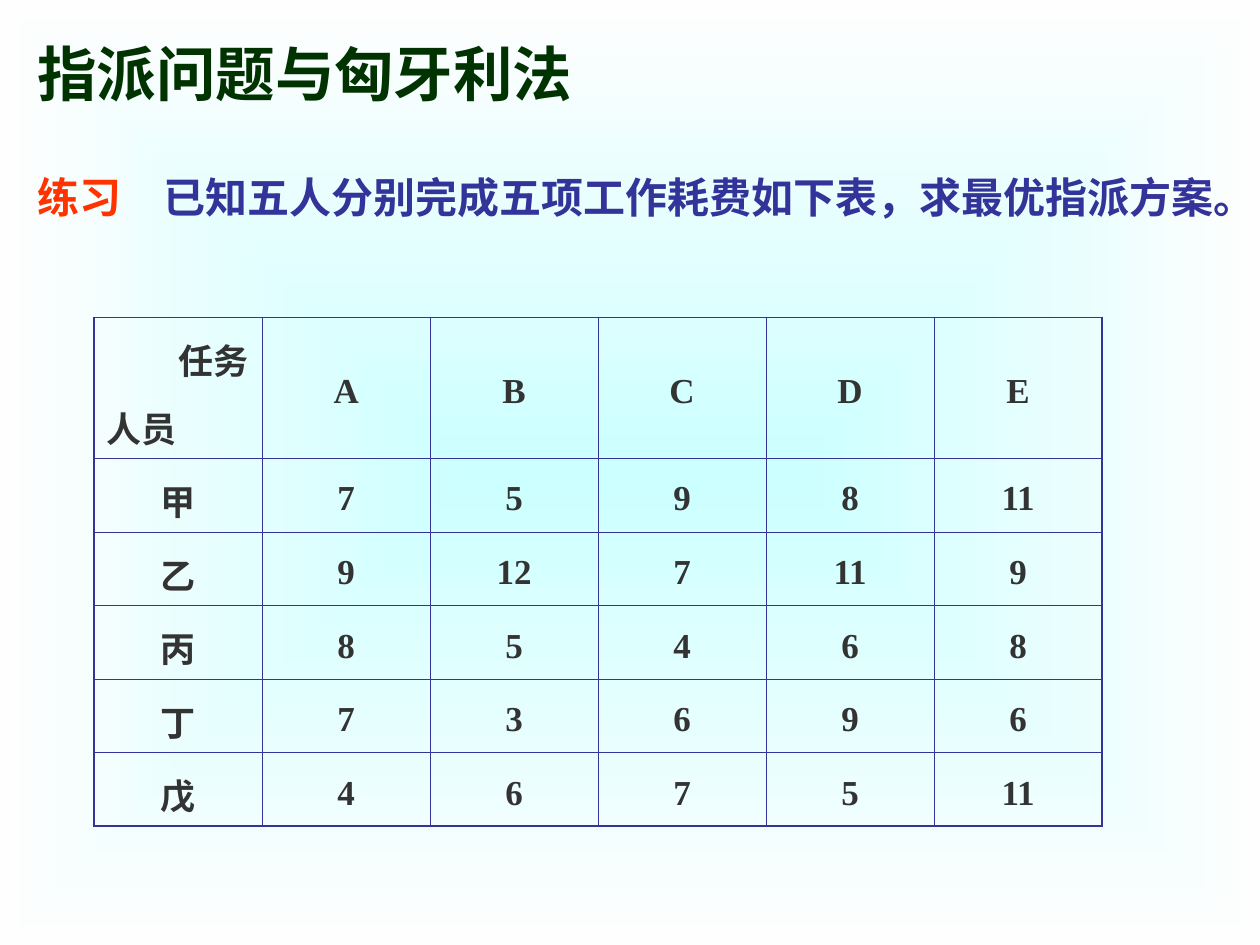
from dataclasses import dataclass

from lxml.etree import SubElement
from pptx import Presentation
from pptx.dml.color import RGBColor
from pptx.enum.text import MSO_ANCHOR, MSO_AUTO_SIZE, PP_ALIGN
from pptx.oxml.ns import qn
from pptx.util import Cm, Pt


@dataclass(frozen=True)
class Theme:
    """Hold the colours, font and type sizes."""
    font: str = "Times New Roman"
    title: str = "003300"
    label: str = "FF3300"
    body: str = "333399"
    cell: str = "333333"
    rule: str = "333399"
    inner: str = "CCFFFF"
    outer: str = "FEFEFE"
    head_size: float = 34
    body_size: float = 24
    cell_size: float = 20
    thin: float = 0.45
    thick: float = 1.08


def write(par, text, *, font, size, color, align=PP_ALIGN.LEFT,
          space=None, before=0, indent=0):
    """Add a bold run to a paragraph and format both."""
    par.alignment = align
    par.line_spacing = space
    par.space_before = Pt(before)
    props = par._p.get_or_add_pPr()
    props.set("marL", str(Cm(indent)))
    props.set("indent", "0")
    run = par.add_run()
    run.text = text
    run.font.name = font
    run.font.size = Pt(size)
    run.font.bold = True
    run.font.color.rgb = RGBColor.from_string(color)


class Deck:
    """Build slides in one style."""

    def __init__(self, theme):
        """Open a deck with one slide."""
        self.theme = theme
        self.file = Presentation()
        self.file.slide_width, self.file.slide_height = Cm(25.4), Cm(19.05)
        self.slide = self.file.slides.add_slide(self.file.slide_layouts[1])

    def backdrop(self):
        """Fill the slide with a gradient that spreads from its centre."""
        fill = self.slide.background.fill
        fill.gradient()
        for stop, color in zip(fill.gradient_stops, (self.theme.inner, self.theme.outer)):
            stop.color.rgb = RGBColor.from_string(color)
        line = next(self.slide.element.iter(qn("a:lin")))
        grad = line.getparent()
        grad.remove(line)
        spread = SubElement(grad, qn("a:path"), path="rect")
        SubElement(spread, qn("a:fillToRect"), {side: "50000" for side in "ltrb"})

    def place(self, shape, box, anchor):
        """Move a placeholder and return its first paragraph."""
        shape.left, shape.top, shape.width, shape.height = map(Cm, box)
        frame = shape.text_frame
        frame.word_wrap = True
        frame.auto_size = MSO_AUTO_SIZE.NONE
        frame.vertical_anchor = anchor
        return frame.paragraphs[0]

    def title(self, text, box):
        """Fill the title."""
        par = self.place(self.slide.shapes.title, box, MSO_ANCHOR.BOTTOM)
        write(par, text, font=self.theme.font, size=self.theme.head_size,
              color=self.theme.title)

    def body(self, label, text, box, stop):
        """Fill the body with a label and a text set off by a tab."""
        par = self.place(self.slide.placeholders[1], box, MSO_ANCHOR.TOP)
        for part, color in ((label + "\t", self.theme.label), (text, self.theme.body)):
            write(par, part, font=self.theme.font, size=self.theme.body_size,
                  color=color, space=1.2, before=4.5)
        props = par._p.get_or_add_pPr()
        SubElement(props, qn("a:buNone"))
        tabs = SubElement(props, qn("a:tabLst"))
        SubElement(tabs, qn("a:tab"), pos=str(Cm(stop)), algn="l")

    def border(self, cell, edges):
        """Draw the four sides of a cell, thick where they are outer edges."""
        props = cell._tc.get_or_add_tcPr()
        for side, edge in edges.items():
            width = self.theme.thick if edge else self.theme.thin
            line = SubElement(props, qn(f"a:ln{side}"), w=str(Pt(width)))
            fill = SubElement(line, qn("a:solidFill"))
            SubElement(fill, qn("a:srgbClr"), val=self.theme.rule)

    def cell(self, cell, parts):
        """Fill a cell with one paragraph for each text and its format."""
        cell.vertical_anchor = MSO_ANCHOR.MIDDLE
        frame = cell.text_frame
        for i, (text, form) in enumerate(parts):
            par = frame.add_paragraph() if i else frame.paragraphs[0]
            look = {"align": PP_ALIGN.CENTER, **form}
            write(par, text, font=self.theme.font, size=self.theme.cell_size,
                  color=self.theme.cell, space=1.2, before=3.7, **look)

    def table(self, corner, rows, box, top):
        """Add a ruled table whose first cell holds the two axis names."""
        high, wide = len(rows), len(rows[0])
        table = self.slide.shapes.add_table(high, wide, *map(Cm, box)).table
        table.first_row = table.horz_banding = False
        for r, row in enumerate(rows):
            table.rows[r].height = Cm((box[3] - top) / (high - 1) if r else top)
            for c, value in enumerate(row):
                cell = table.cell(r, c)
                self.border(cell, {"L": c == 0, "R": c == wide - 1,
                                   "T": r == 0, "B": r == high - 1})
                cell.fill.background()
                self.cell(cell, [(str(value), {})] if r or c else corner)

    def save(self):
        """Save the deck."""
        self.file.save("out.pptx")


def main():
    """Build the slide on the task problem."""
    deck = Deck(Theme())
    deck.backdrop()
    deck.title("指派问题与匈牙利法", (0.5, 0.33, 20.4, 1.98))
    deck.body("练习", "已知五人分别完成五项工作耗费如下表，求最优指派方案。",
              (0.5, 3.12, 24.9, 2.8), 2.28)
    corner = [("任务", {"indent": 1.41}), ("人员", {"align": PP_ALIGN.LEFT})]
    costs = {
        "甲": (7, 5, 9, 8, 11),
        "乙": (9, 12, 7, 11, 9),
        "丙": (8, 5, 4, 6, 8),
        "丁": (7, 3, 6, 9, 6),
        "戊": (4, 6, 7, 5, 11),
    }
    rows = [("", *"ABCDE")] + [(name, *cost) for name, cost in costs.items()]
    deck.table(corner, rows, (1.9, 6.4, 20.32, 8.76), 2.41)
    deck.save()


if __name__ == "__main__":
    main()
